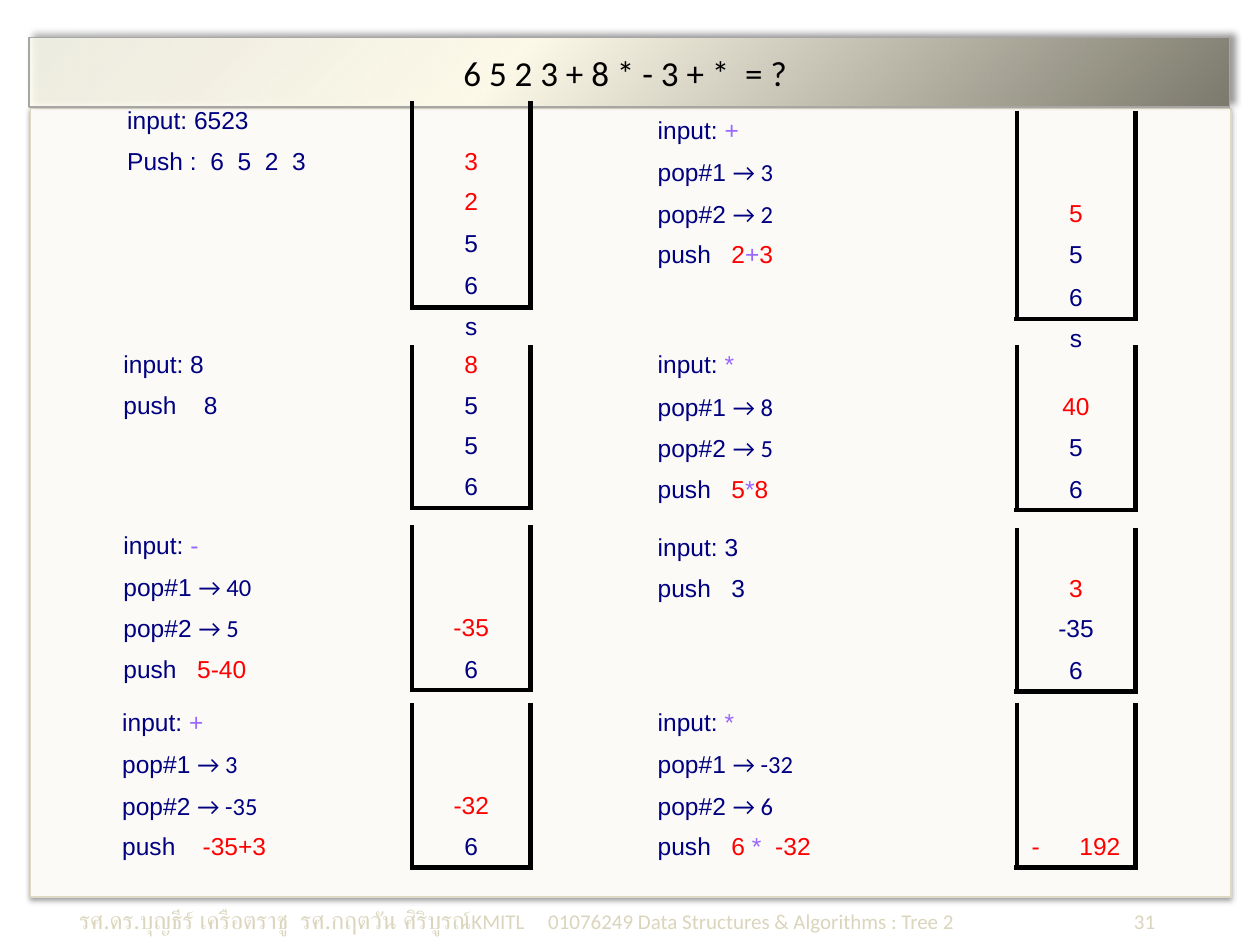
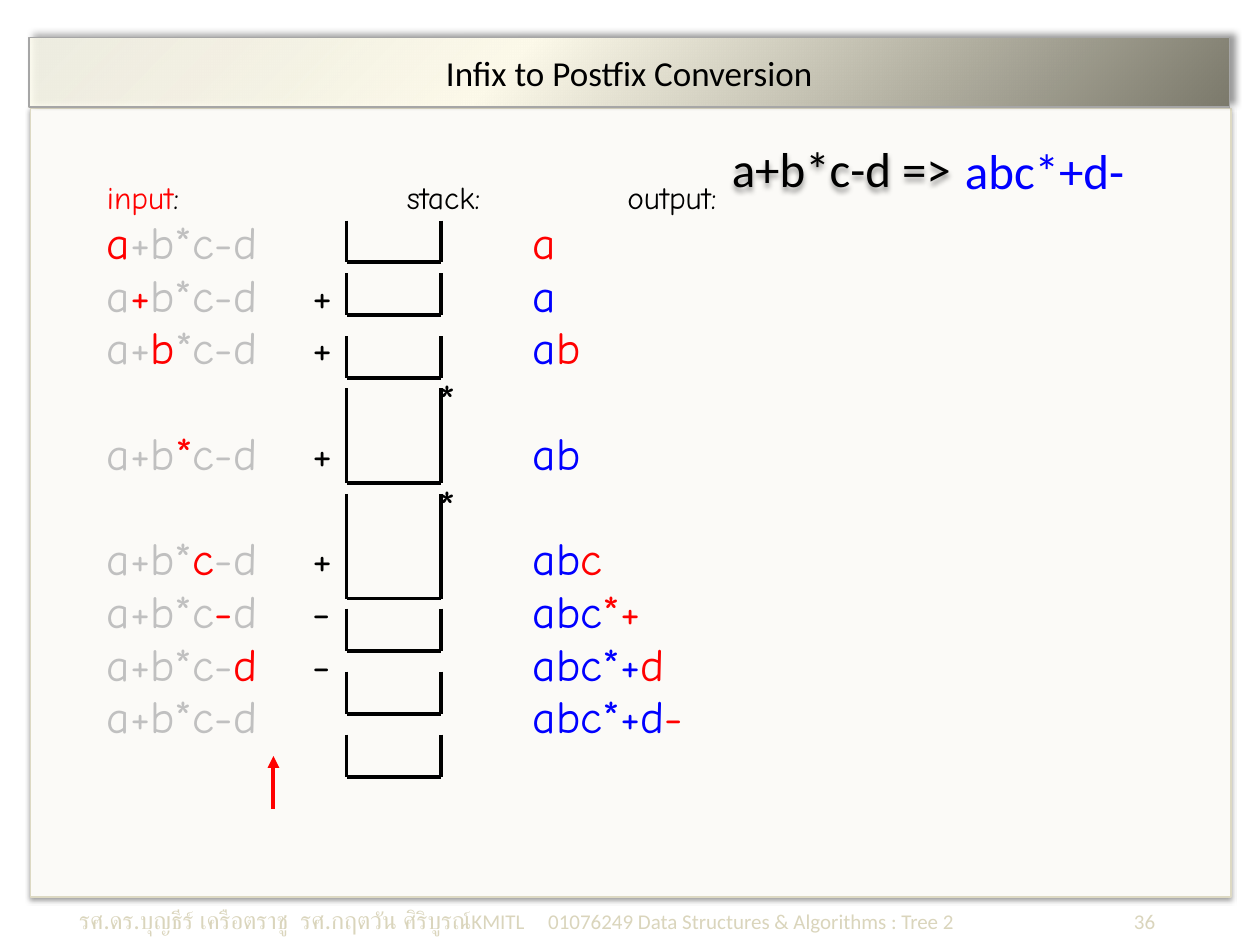
from lxml import etree
from pptx import Presentation
from pptx.dml.color import RGBColor
from pptx.enum.shapes import MSO_CONNECTOR, MSO_SHAPE
from pptx.enum.text import MSO_ANCHOR, MSO_AUTO_SIZE, PP_ALIGN
from pptx.oxml.ns import qn
from pptx.util import Inches, Pt

RECT = MSO_SHAPE.RECTANGLE
STRAIGHT = MSO_CONNECTOR.STRAIGHT
MIDDLE = MSO_ANCHOR.MIDDLE
CENTER = PP_ALIGN.CENTER

CALIBRI, ARIAL, COMIC = "Calibri", "Arial", "Comic Neue"
BLACK, NAVY, RED, BLUE = "000000", "000080", "FF0000", "0000FF"
VIOLET, GREY, SAND = "9966FF", "C0C0C0", "DAD5BC"
PANEL_FILL, PANEL_LINE, TITLE_LINE = "FBFAF7", "DDD9C3", "A6A6A6"
TITLE_STOPS = [(0, "FEFCEE", 79), (40, "FDFAEA", 100), (100, "7B796B", 100)]
NO_STYLE = "{2D5ABB26-0587-4C30-8999-92F81FD0307C}"
HANG = 0.38
SIGN_TAB, TOP_SIGN_TAB, OUTPUT_TAB = 1.63, 2.63, 3.38


def rgb(value):
    return RGBColor.from_string(value)


def add_xml(parent, tag, **attrs):
    node = etree.SubElement(parent, qn(tag))
    for name, value in attrs.items():
        node.set(name, str(value))
    return node


def add_shadow(sp, alpha, blur, dist, angle):
    effects = add_xml(sp.element.spPr, "a:effectLst")
    shadow = add_xml(effects, "a:outerShdw", blurRad=Pt(blur), dist=Pt(dist),
                     dir=angle * 60000, algn="ctr", rotWithShape=0)
    colour = add_xml(shadow, "a:srgbClr", val=BLACK)
    add_xml(colour, "a:alpha", val=alpha * 1000)


def add_gradient(sp, stops, angle):
    grad = add_xml(sp.element.spPr, "a:gradFill", rotWithShape=1)
    stop_list = add_xml(grad, "a:gsLst")
    for position, value, alpha in stops:
        stop = add_xml(stop_list, "a:gs", pos=position * 1000)
        colour = add_xml(stop, "a:srgbClr", val=value)
        add_xml(colour, "a:alpha", val=alpha * 1000)
    add_xml(grad, "a:lin", ang=angle * 60000, scaled=0)


def add_tabs(p, stops):
    tab_list = add_xml(p._p.get_or_add_pPr(), "a:tabLst")
    for position, align in stops:
        add_xml(tab_list, "a:tab", pos=Inches(position), algn=align)


def hang(p):
    pPr = p._p.get_or_add_pPr()
    pPr.set("marL", str(Inches(HANG)))
    pPr.set("indent", str(-Inches(HANG)))


def write(p, segments, size, font):
    """Add runs; a segment is (text, colour) with an optional font and size."""
    for text, colour, *own in segments:
        r = p.add_run()
        r.text = text
        r.font.name = own[0] if own else font
        r.font.size = Pt(own[1] if len(own) > 1 else size)
        r.font.color.rgb = rgb(colour)


def add_text(s, left, top, width, height, segments=(), size=28):
    sp = s.shapes.add_textbox(Inches(left), Inches(top), Inches(width), Inches(height))
    sp.text_frame.word_wrap = True
    write(sp.text_frame.paragraphs[0], segments, size, CALIBRI)
    return sp


def add_line(shapes, start, end, colour=BLACK, arrow=False):
    line = shapes.add_connector(STRAIGHT, *[Inches(v) for v in (*start, *end)])
    line.line.color.rgb = rgb(colour)
    line.line.width = Pt(2.25)
    if arrow:
        add_xml(line.line._get_or_add_ln(), "a:tailEnd", type="triangle")
    add_xml(line.element.spPr, "a:effectLst")


def add_framed_slide(prs, title, number):
    """Slide with the shared panel, footer and title band."""
    s = prs.slides.add_slide(prs.slide_layouts[5])
    panel = s.shapes.add_shape(RECT, Inches(0.24), Inches(0.86), Inches(9.53), Inches(6.26))
    panel.fill.solid()
    panel.fill.fore_color.rgb = rgb(PANEL_FILL)
    panel.line.color.rgb = rgb(PANEL_LINE)
    panel.line.width = Pt(0.75)
    add_shadow(panel, 38, 3.1, 1.6, 90)

    footer = add_text(s, 0.53, 7.11, 8.98, 0.37, [
        ("รศ.ดร.บุญธีร์ เครือตราชู  รศ.กฤตวัน ศิริบูรณ์", SAND, CALIBRI, 14),
        ("\tKMITL     01076249 Data Structures & Algorithms : Tree 2", SAND),
        ("\t", SAND, CALIBRI, 16), (str(number), SAND)], size=12)
    add_tabs(footer.text_frame.paragraphs[0], [(4.32, "dec"), (8.54, "r")])

    band = s.shapes.title
    band.element.getparent().append(band.element)
    band.left, band.top = Inches(0.23), Inches(0.3)
    band.width, band.height = Inches(9.53), Inches(0.55)
    add_gradient(band, TITLE_STOPS, 45)
    band.line.color.rgb = rgb(TITLE_LINE)
    band.line.width = Pt(0.75)
    add_shadow(band, 40, 4, 3, 315)
    tf = band.text_frame
    tf.text = title
    tf.auto_size = MSO_AUTO_SIZE.NONE
    tf.vertical_anchor = MIDDLE
    p = tf.paragraphs[0]
    p.alignment = CENTER
    font = p.runs[0].font
    font.name, font.size, font.color.rgb = CALIBRI, Pt(20), rgb(BLACK)
    return s


def pop_lines(operator, first, second, result):
    return [[("input: ", NAVY), (operator, VIOLET)],
            [("pop#1 ", NAVY), (f"→ {first}", NAVY, CALIBRI)],
            [("pop#2 ", NAVY), (f"→ {second}", NAVY, CALIBRI)],
            [("push", NAVY), *result]]


def plain_lines(*lines):
    return [[(line, NAVY)] for line in lines]


def fill_cell(cell, segments, borders="", centred=False):
    tcPr = cell._tc.get_or_add_tcPr()
    for side in "LRTB":
        if side in borders:
            ln = add_xml(tcPr, f"a:ln{side}", w=Pt(3))
            add_xml(add_xml(ln, "a:solidFill"), "a:srgbClr", val=BLACK)
    cell.fill.background()
    cell.margin_top, cell.margin_bottom = Inches(0.05), Inches(0.04)
    p = cell.text_frame.paragraphs[0]
    hang(p)
    if centred:
        p.alignment = CENTER
    if any("\t" in segment[0] for segment in segments):
        add_tabs(p, [(0.3, "ctr")])
    write(p, segments, 14, ARIAL)
    if not segments:
        add_xml(p._p, "a:endParaRPr", sz=1400)


def add_step(s, left, top, stack_left, lines, stack, fresh=1, depth=4, below=None):
    """Step text beside its stack; fresh items are red, below is the row under it."""
    count = depth + (below is not None)
    frame = s.shapes.add_table(count, 2, Inches(left), Inches(top),
                               Inches(stack_left + 0.94 - left), Inches(0.32 * count))
    table = frame.table
    table.first_row = table.horz_banding = False
    table._tbl.tblPr.find(qn("a:tableStyleId")).text = NO_STYLE
    table.columns[0].width = Inches(stack_left - left)
    table.columns[1].width = Inches(0.94)

    items = [[(v, RED if i < fresh else NAVY)] for i, v in enumerate(stack)]
    items = [[]] * (depth - len(items)) + items
    lines = lines + [[]] * (count - len(lines))
    for i, row in enumerate(table.rows):
        has_arrow = any("→" in segment[0] for segment in lines[i])
        row.height = Inches(0.34 if depth == 5 and i == 3 else 0.33 if has_arrow else 0.32)
        if i < depth:
            fill_cell(row.cells[0], lines[i], "R")
            fill_cell(row.cells[1], items[i], "LRB" if i == depth - 1 else "LR", True)
        else:
            fill_cell(row.cells[0], [])
            fill_cell(row.cells[1], [(below, NAVY)] if below else [], "T", True)


def build_evaluation(prs):
    s = add_framed_slide(prs, "6 5 2 3 + 8 * - 3 + *  = ? ", 31)
    left_stack, right_stack, right_text = 3.27, 8.07, 5.12
    add_step(s, 0.91, 0.8, left_stack, plain_lines("input: 6523", "Push :  6  5  2  3"),
             ["3", "2", "5", "6"], fresh=2, depth=5, below="s")
    add_step(s, right_text, 0.88, right_stack,
             pop_lines("+", 3, 2, [("   2", RED), ("+", VIOLET), ("3", RED)]),
             ["5", "5", "6"], depth=5, below="s")
    add_step(s, 0.88, 2.74, left_stack, plain_lines("input: 8", "push    8"),
             ["8", "5", "5", "6"], below="")
    add_step(s, right_text, 2.74, right_stack,
             pop_lines("*", 8, 5, [("   5", RED), ("*", VIOLET), ("8", RED)]),
             ["40", "5", "6"], below="")
    add_step(s, 0.88, 4.17, left_stack, pop_lines("-", 40, 5, [("   5-40", RED)]),
             ["-35", "6"], below="")
    add_step(s, right_text, 4.19, right_stack, plain_lines("input: 3", "push   3"),
             ["3", "-35", "6"], below="")
    add_step(s, 0.87, 5.58, left_stack, pop_lines("+", 3, -35, [("    -35+3", RED)]),
             ["-32", "6"])
    add_step(s, right_text, 5.58, right_stack,
             pop_lines("*", -32, 6, [("   6 ", RED), ("*  ", VIOLET), ("-32", RED)]),
             ["-\t192"])


def conversion_lines(expression, steps):
    """Yield (segments, size, tab stops); a step is (index, stack, output, added)."""
    for index, stack, output, added in steps:
        if len(stack) > 1:
            yield [(f"\t{stack[0]}", BLACK)], 26, [TOP_SIGN_TAB]
        gap = f"\t{stack[-1]}\t" if stack else "\t"
        parts = [(expression[:index], GREY), (expression[index:index + 1], RED),
                 (expression[index + 1:], GREY), (gap, BLACK),
                 (output, BLUE), (added, RED)]
        stops = [SIGN_TAB, OUTPUT_TAB] if stack else [OUTPUT_TAB]
        yield [part for part in parts if part[0]], 26, stops


def add_trace(s, left, top, width, height, lines):
    tf = add_text(s, left, top, width, height).text_frame
    for i, (segments, size, stops) in enumerate(lines):
        p = tf.add_paragraph() if i else tf.paragraphs[0]
        p.line_spacing = 0.8
        p.space_before = Pt(0)
        before = p._p.pPr.find(qn("a:spcBef"))
        before.remove(before[0])
        add_xml(before, "a:spcPct", val=20000)
        add_tabs(p, [(stop, "l") for stop in stops])
        write(p, segments, size, COMIC)


def add_stack(s, left, top, width, bottom):
    shapes = s.shapes.add_group_shape().shapes
    right = left + width
    add_line(shapes, (left, top), (left, bottom))
    add_line(shapes, (right, top), (right, bottom))
    add_line(shapes, (left, bottom), (right, bottom))


def build_conversion(prs):
    s = add_framed_slide(prs, "Infix to Postfix Conversion", 36)
    header = [("input", RED), (":\tstack:\toutput:", BLACK)]
    steps = [(0, "", "", "a"), (1, "+", "a", ""), (2, "+", "a", "b"),
             (3, "*+", "ab", ""), (4, "*+", "ab", "c"), (5, "-", "abc", "*+"),
             (6, "-", "abc*+", "d"), (7, "", "abc*+d", "-")]
    add_trace(s, 0.75, 1.42, 5.91, 4.95,
              [(header, 18, [2.38, 4.13]), *conversion_lines("a+b*c-d", steps)])

    for top, bottom in [(1.75, 2.08), (2.17, 2.5), (2.67, 3), (3.08, 3.83),
                        (3.92, 4.75), (4.83, 5.17), (5.33, 5.67), (5.83, 6.17)]:
        add_stack(s, 2.75, top, 0.75, bottom)
    add_line(s.shapes, (2.17, 6.42), (2.17, 6), RED, arrow=True)

    add_text(s, 7.56, 1.07, 2.08, 0.57, [("abc*+d-", BLUE)])
    infix = add_text(s, 5.71, 1.07, 2.5, 0.53, [("a+b*c-d =>", BLACK)])
    infix.text_frame.vertical_anchor = MIDDLE
    add_shadow(infix, 40, 3, 2, 90)


def main():
    prs = Presentation()
    prs.slide_width, prs.slide_height = Inches(10), Inches(7.5)
    build_evaluation(prs)
    build_conversion(prs)
    prs.save("out.pptx")


if __name__ == "__main__":
    main()
